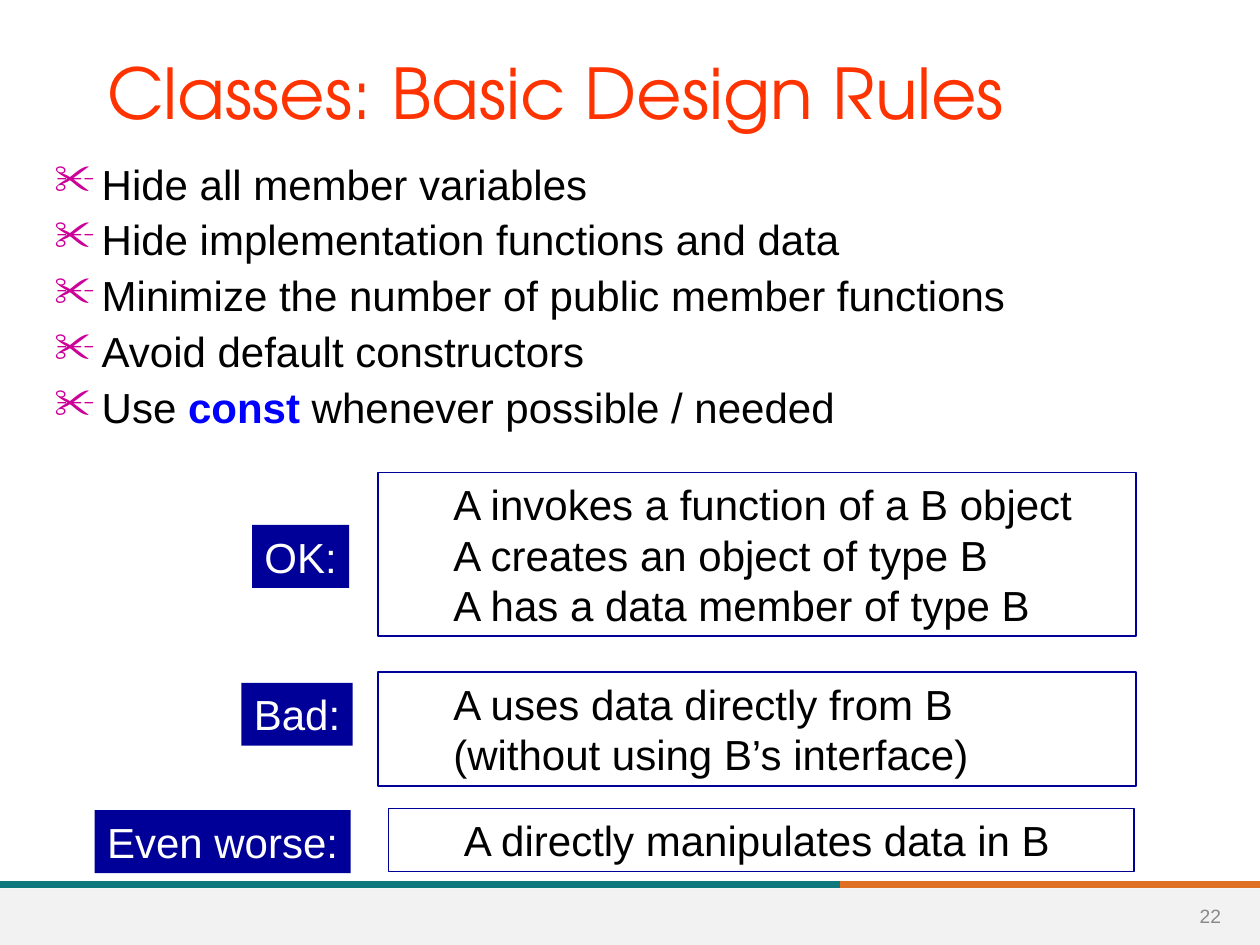
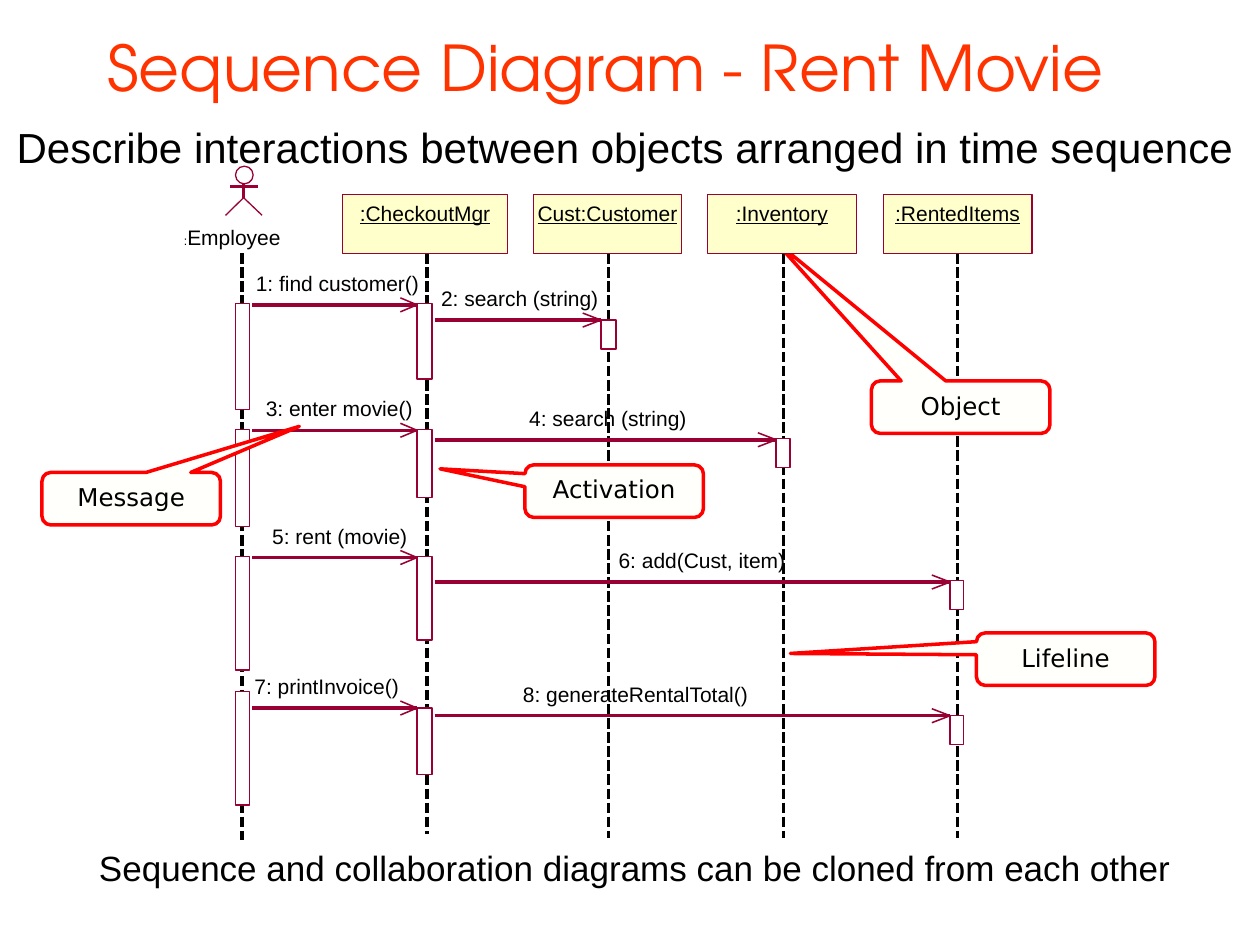
"""Builds two slides: class design rules and a sequence diagram."""
from lxml import etree
from pptx import Presentation
from pptx.dml.color import RGBColor
from pptx.enum import dml, shapes, text
from pptx.oxml import ns
from pptx.util import Pt

COLOURS = {
    "title": "FF3300", "ink": "000000", "paper": "FFFFFF", "navy": "000099",
    "keyword": "0000FF", "bullet": "CC0099", "teal": "0F787D", "orange": "DF7023",
    "footer": "F2F2F2", "number": "898989", "diagram": "990033",
    "head": "FFFFCC", "callout": "FFFFFB", "alert": "FF0000",
}
TITLE_FONT, BODY_FONT, CALLOUT_FONT = "TeX Gyre Adventor", "Arial", "DejaVu Sans"
INSETS = (7.2, 3.6, 7.2, 3.6)
NO_INSETS = (0, 0, 0, 0)
SIDES = ("margin_left", "margin_top", "margin_right", "margin_bottom")
CENTRE, LEFT = text.PP_ALIGN.CENTER, text.PP_ALIGN.LEFT
MIDDLE, TOP = text.MSO_ANCHOR.MIDDLE, text.MSO_ANCHOR.TOP
SHAPE = shapes.MSO_SHAPE


def colour(name):
    """Return the named colour."""
    return RGBColor.from_string(COLOURS[name])


def assign(target, values):
    """Set every attribute in values on the target."""
    for name, value in values.items():
        setattr(target, name, value)


class Canvas:
    """Holds the shared style and the slide being drawn."""

    def __init__(self, deck):
        """Start on a deck without a current slide."""
        self.deck = deck
        self.page = self.shapes = None

    def new_page(self, title, top, size):
        """Add a title-only slide and format its title."""
        self.page = self.deck.slides.add_slide(self.deck.slide_layouts[5])
        self.shapes = self.page.shapes
        box = self.shapes.title
        assign(box, {"left": Pt(54), "top": Pt(top), "width": Pt(612), "height": Pt(51)})
        self.set_text(box, [title], size=size, ink="title", font=TITLE_FONT, anchor=MIDDLE)

    def set_text(self, box, lines, size=24, ink="ink", font=BODY_FONT, align=LEFT,
                 anchor=TOP, insets=INSETS, wrap=True, indent=0, hanging=0,
                 bullet=None, spacing=None, before=0, underline=None):
        """Fill a box; a line is a string or a list of (text, overrides) spans."""
        frame = box.text_frame
        assign(frame, {"word_wrap": wrap, "vertical_anchor": anchor,
                       "auto_size": text.MSO_AUTO_SIZE.NONE})
        assign(frame, dict(zip(SIDES, map(Pt, insets))))
        for index, line in enumerate(lines):
            para = frame.add_paragraph() if index else frame.paragraphs[0]
            assign(para, {"alignment": align, "line_spacing": spacing,
                          "space_before": Pt(before if index else 0)})
            if indent:
                self.indent(para, indent, hanging, bullet)
            spans = [(line, {})] if isinstance(line, str) else line
            for words, overrides in spans:
                for row, part in enumerate(words.split("\n")):
                    if row:
                        para.add_line_break()
                    span = para.add_run()
                    span.text = part
                    look = {"size": size, "ink": ink, "bold": False, **overrides}
                    assign(span.font, {"name": font, "size": Pt(look["size"]),
                                       "bold": look["bold"], "underline": underline})
                    span.font.color.rgb = colour(look["ink"])

    def indent(self, para, indent, hanging, bullet):
        """Indent a paragraph and give it an optional bullet."""
        properties = para._p.get_or_add_pPr()
        properties.set("marL", str(Pt(indent)))
        properties.set("indent", str(-Pt(hanging)))
        if bullet:
            tint = etree.SubElement(properties, ns.qn("a:buClr"))
            etree.SubElement(tint, ns.qn("a:srgbClr"), val=COLOURS["bullet"])
            etree.SubElement(properties, ns.qn("a:buChar"), char=bullet)

    def label(self, at, lines, **style):
        """Add a text box."""
        box = self.shapes.add_textbox(*map(Pt, at))
        self.set_text(box, lines, **style)

    def paint(self, box, fill, line, weight):
        """Give a shape its fill and outline, without a shadow."""
        box.shadow.inherit = False
        if fill:
            box.fill.solid()
            box.fill.fore_color.rgb = colour(fill)
        else:
            box.fill.background()
        if line:
            box.line.color.rgb = colour(line)
            box.line.width = Pt(weight)
        else:
            box.line.fill.background()

    def shape(self, at, kind=SHAPE.RECTANGLE, fill=None, line=None, weight=0,
              lines=(), adjust=(), **style):
        """Add a preset shape with optional text."""
        box = self.shapes.add_shape(kind, *map(Pt, at))
        for index, value in enumerate(adjust):
            box.adjustments[index] = value
        self.paint(box, fill, line, weight)
        if lines:
            self.set_text(box, lines, **style)

    def line(self, start, end, ink="diagram", weight=0, dash=None):
        """Add a straight line."""
        link = self.shapes.add_connector(shapes.MSO_CONNECTOR.STRAIGHT,
                                         *map(Pt, (*start, *end)))
        link.line.color.rgb = colour(ink)
        assign(link.line, {"width": Pt(weight), "dash_style": dash})
        etree.SubElement(link._element.spPr, ns.qn("a:effectLst"))

    def arrow(self, start, tip, depth):
        """Add a thin line that ends in a wide open arrowhead."""
        self.line(start, tip)
        for spread in (4, -4):
            self.line(tip, (tip[0] - depth, tip[1] + spread), weight=0.88)

    def outline(self, points):
        """Add an open unfilled outline."""
        first, *rest = [tuple(map(Pt, point)) for point in points]
        builder = self.shapes.build_freeform(*first)
        builder.add_line_segments(rest, close=False)
        self.paint(builder.convert_to_shape(), None, "diagram", 0)

    def callout(self, left, top, words, tail):
        """Add a rounded callout whose tail points at a diagram part."""
        self.shape((left, top, 102, 30), SHAPE.ROUNDED_RECTANGULAR_CALLOUT,
                   "callout", "alert", 2, [words], (*tail, 0.167), size=14,
                   font=CALLOUT_FONT, align=CENTRE, anchor=MIDDLE,
                   wrap=False, spacing=0.89)

    def footer(self, number):
        """Add the two-colour rule, the grey band and the page number."""
        self.line((480, 505.3), (720, 505.3), "orange", 4)
        self.line((0, 505.3), (480, 505.3), "teal", 4)
        self.shape((0, 507.6, 720, 32.4), fill="footer")
        self.label((673, 509, 37.4, 28.8), [number], size=11, ink="number",
                   align=CENTRE, anchor=MIDDLE)

    def actor(self):
        """Add the stick figure as one group."""
        self.shapes = self.page.shapes.add_group_shape().shapes
        self.shape((134.6, 95, 10.1, 10.1), SHAPE.OVAL, line="diagram")
        self.line((139.2, 104.6), (139.2, 113))
        self.line((131.6, 106.6), (147.2, 106.6))
        self.outline([(128.9, 123.1), (139.2, 113), (149.8, 123.1)])
        self.shapes = self.page.shapes


def design_rules(canvas):
    """Draw the slide with the class design rules."""
    canvas.new_page("Classes: Basic Design Rules", 26.6, 40)
    canvas.footer("22")
    rules = [
        "Hide all member variables",
        "Hide implementation functions and data",
        "Minimize the number of public member functions",
        "Avoid default constructors",
        [("Use ", {}), ("const", {"ink": "keyword", "bold": True}),
         (" whenever possible / needed", {})],
    ]
    canvas.label((24, 90, 666, 168), rules, indent=27, hanging=27, bullet="✂",
                 spacing=0.9, before=6)
    verdicts = [
        ("OK:", (144, 300, 55.6, 36), (216, 270, 433.3, 93.6),
         ["A invokes a function of a B object", "A creates an object of type B",
          "A has a data member of type B"]),
        ("Bad:", (138, 390.2, 63.6, 36), (216, 384.2, 433.3, 64.8),
         ["A uses data directly from B\n(without using B’s interface)"]),
        ("Even worse:", (54, 463, 146.4, 36), (222, 462, 426, 36),
         ["A directly manipulates data in B"]),
    ]
    for verdict, tag, panel, cases in verdicts:
        canvas.shape(panel, line="navy", weight=1, lines=cases, indent=36)
        canvas.shape(tag, fill="navy", lines=[verdict], ink="paper",
                     align=CENTRE, wrap=False)


def sequence_diagram(canvas):
    """Draw the slide with the rental sequence diagram."""
    canvas.new_page("Sequence Diagram - Rent Movie", 12.2, 36)
    lifelines = {
        "employee": (138.2, 480, 134.6, 7.9,
                     [(173.5, 60.5), (245.5, 55.4), (318.2, 64.8), (395.3, 64.8)]),
        "manager": (244, 476.6, 238.3, 8.6,
                    [(173.5, 43.2), (245.5, 38.9), (318.2, 47.5), (404.6, 38.2)]),
        "customer": (347.8, 478.8, 343.4, 8.6, [(182.9, 16.6)]),
        "inventory": (447.8, 478.8, 443.5, 7.9, [(250.6, 16.6)]),
        "rented": (547.2, 478.8, 542.9, 7.9, [(331.9, 16.6), (409, 16.6)]),
    }
    for x, bottom, left, width, activations in lifelines.values():
        canvas.line((x, 144.7), (x, bottom), "ink", dash=dml.MSO_LINE.SQUARE_DOT)
        for top, height in activations:
            canvas.shape((left, top, width, height), fill="paper", line="diagram")

    messages = [
        ("employee", "manager", 174.2, "1: find customer()", 146.2, 93.6),
        ("manager", "customer", 182.9, "2: search (string)", 252, 90),
        ("employee", "manager", 245.9, "3: enter movie()", 151.9, 84.2),
        ("manager", "inventory", 251.3, "4: search (string)", 302.4, 90),
        ("employee", "manager", 318.6, "5: rent (movie)", 155.5, 77.8),
        ("manager", "rented", 332.6, "6: add(Cust, item)", 353.5, 95.8),
        ("employee", "manager", 404.6, "7: printInvoice()", 145.4, 82.8),
        ("manager", "rented", 409, "8: generateRentalTotal()", 298.8, 130.3),
    ]
    for sender, receiver, y, words, left, width in messages:
        start = sum(lifelines[sender][2:4]) + 1.5
        depth = 9.5 if receiver == "manager" else 10.4
        canvas.arrow((start, y), (lifelines[receiver][2], y), depth)
        canvas.label((left, y - 19.6, width, 14.4), [words], size=12,
                     insets=NO_INSETS, wrap=False)

    callouts = [
        (498, 217.7, "Object", (-1.042, -3.171)),
        (558, 361.7, "Lifeline", (-1.543, -0.108)),
        (300, 265.7, "Activation", (-0.976, -0.425)),
        (24, 270, "Message", (0.942, -1.379)),
    ]
    for callout in callouts:
        canvas.callout(*callout)

    heads = [(":CheckoutMgr", 195.8, 94.3), ("Cust:Customer", 304.9, 84.6),
             (":Inventory", 404.3, 85), (":RentedItems", 504.7, 85)]
    for name, left, width in heads:
        canvas.shape((left, 111.2, width, 33.8), fill="head", line="diagram",
                     lines=[name], size=12, align=CENTRE, underline=True,
                     insets=(0, 3.2, 0, 0), wrap=False)

    canvas.actor()
    canvas.label((105.1, 128.2, 69.1, 14.4), [[(":", {"size": 7}), ("Employee", {})]],
                 size=12, insets=NO_INSETS)
    canvas.label((36, 480.2, 653.8, 31.7),
                 ["Sequence and collaboration diagrams can be cloned from each other"],
                 size=20, align=CENTRE)
    canvas.label((6, 66.2, 702, 36),
                 ["Describe interactions between objects arranged in time sequence"],
                 align=CENTRE, insets=(0, 3.6, 0, 3.6))


def main():
    """Build and save the deck."""
    deck = Presentation()
    assign(deck, {"slide_width": Pt(720), "slide_height": Pt(540)})
    canvas = Canvas(deck)
    design_rules(canvas)
    sequence_diagram(canvas)
    deck.save("out.pptx")


if __name__ == "__main__":
    main()
